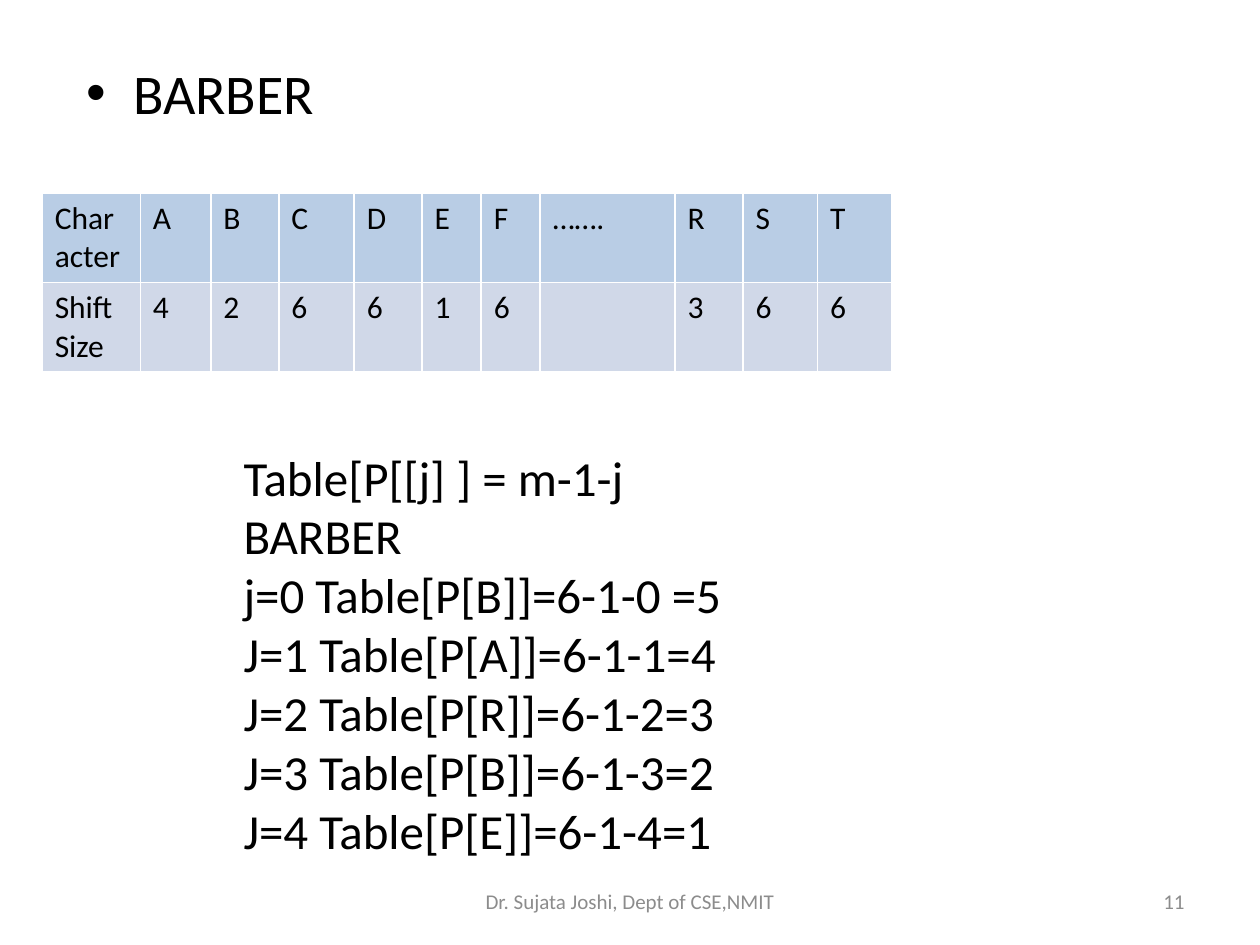
"""Build the slide showing the shift table for the pattern BARBER."""
from pptx import Presentation
from pptx.dml.color import RGBColor
from pptx.enum.text import MSO_ANCHOR, MSO_AUTO_SIZE, PP_ALIGN
from pptx.util import Cm, Pt

THEME = {
    "font": "Calibri",
    "text": RGBColor(0x00, 0x00, 0x00),
    "muted": RGBColor(0x8C, 0x8C, 0x8C),
    "header_fill": RGBColor(0xB9, 0xCD, 0xE5),
    "row_fill": RGBColor(0xD0, 0xD8, 0xE8),
    "heading_size": Pt(32),
    "formula_size": Pt(28),
    "table_size": Pt(18),
    "footer_size": Pt(12),
}


def write(text_frame, lines, size, color, alignment=PP_ALIGN.LEFT):
    text_frame.text = "\n".join(lines)
    font_format = {"name": THEME["font"], "size": THEME[size], "bold": False}
    for paragraph in text_frame.paragraphs:
        paragraph.alignment = alignment
        for run in paragraph.runs:
            for attribute, value in font_format.items():
                setattr(run.font, attribute, value)
            run.font.color.rgb = THEME[color]


def place(shape, left, top, width, height):
    box = {"left": left, "top": top, "width": width, "height": height}
    for attribute, value in box.items():
        setattr(shape, attribute, Cm(value))


presentation = Presentation()
presentation.slide_width = Cm(25.4)
presentation.slide_height = Cm(19.05)
slide = presentation.slides.add_slide(presentation.slide_layouts[1])
title = slide.shapes.title
title.element.getparent().remove(title.element)

heading = slide.placeholders[1]
place(heading, 1.48, 1.06, 22.86, 1.48)
write(heading.text_frame, ["BARBER"], "heading_size", "text")
heading.text_frame.auto_size = MSO_AUTO_SIZE.NONE

footers = [
    ("Dr. Sujata Joshi, Dept of CSE,NMIT", 8.68, 8.04, PP_ALIGN.CENTER),
    ("11", 18.2, 5.93, PP_ALIGN.RIGHT),
]
for text, left, width, alignment in footers:
    footer = slide.shapes.add_textbox(0, 0, 0, 0)
    place(footer, left, 17.66, width, 1.01)
    footer.text_frame.word_wrap = True
    footer.text_frame.vertical_anchor = MSO_ANCHOR.MIDDLE
    write(footer.text_frame, [text], "footer_size", "muted", alignment)

shift_rows = [
    ("header_fill", ["Character", "A", "B", "C", "D", "E", "F", "…….", "R", "S", "T"]),
    ("row_fill", ["Shift Size", "4", "2", "6", "6", "1", "6", "", "3", "6", "6"]),
]
column_widths = [1.98, 1.42, 1.37, 1.52, 1.37, 1.19, 1.19, 2.72, 1.37, 1.5, 1.5]
table_frame = slide.shapes.add_table(
    len(shift_rows), len(column_widths), Cm(0.85), Cm(3.89), Cm(sum(column_widths)), Cm(3.6)
)
shift_table = table_frame.table
for attribute, value in {"first_row": False, "horz_banding": False}.items():
    setattr(shift_table, attribute, value)
for column, width in zip(shift_table.columns, column_widths):
    column.width = Cm(width)
for row, (fill, texts) in zip(shift_table.rows, shift_rows):
    for cell, text in zip(row.cells, texts):
        cell.fill.solid()
        cell.fill.fore_color.rgb = THEME[fill]
        write(cell.text_frame, [text], "table_size", "text")

formulas = [
    "Table[P[[j] ] = m-1-j",
    "BARBER",
    "j=0 Table[P[B]]=6-1-0 =5",
    "J=1 Table[P[A]]=6-1-1=4",
    "J=2 Table[P[R]]=6-1-2=3",
    "J=3 Table[P[B]]=6-1-3=2",
    "J=4 Table[P[E]]=6-1-4=1",
]
formula_box = slide.shapes.add_textbox(0, 0, 0, 0)
place(formula_box, 4.66, 8.89, 17.35, 9.83)
formula_box.text_frame.word_wrap = True
write(formula_box.text_frame, formulas, "formula_size", "text")

presentation.save("out.pptx")
